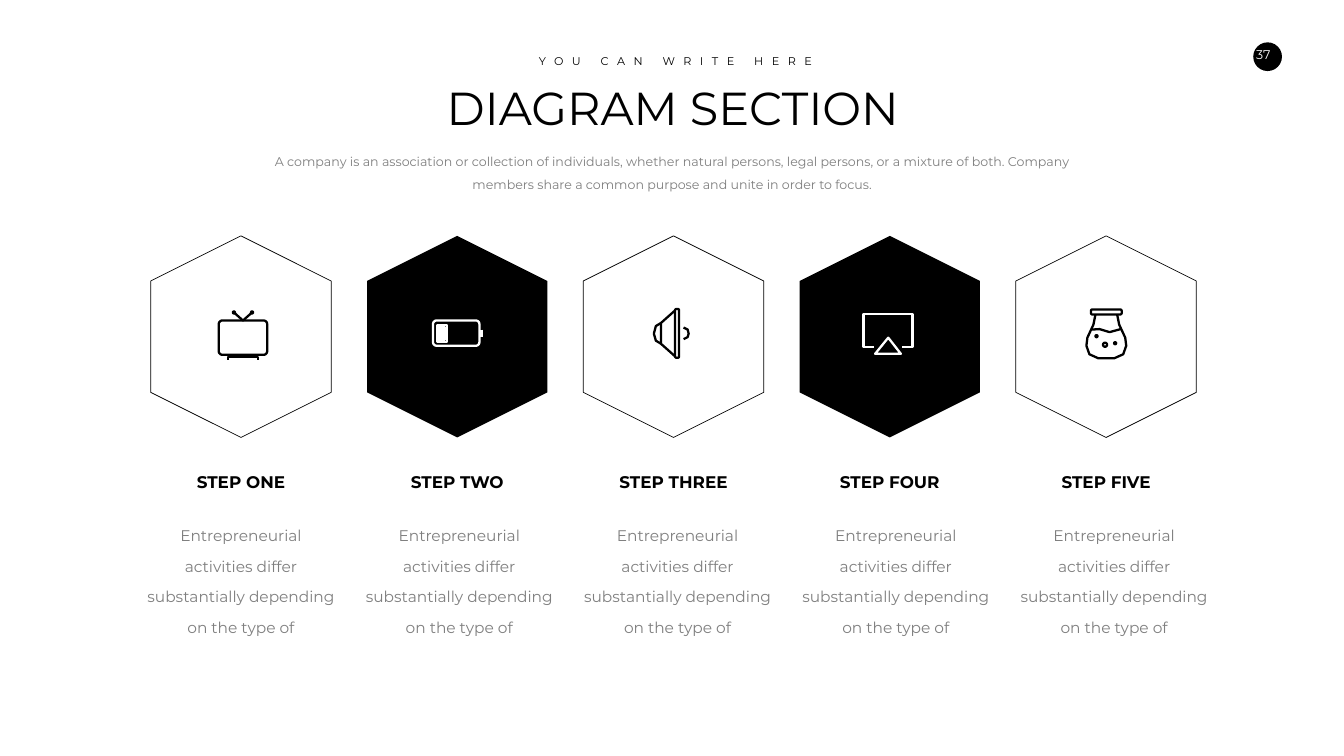
from math import cos, pi, sin

from pptx import Presentation
from pptx.dml.color import RGBColor
from pptx.enum.shapes import MSO_SHAPE
from pptx.enum.text import PP_ALIGN
from pptx.util import Inches, Pt

BLACK = RGBColor(0, 0, 0)
WHITE = RGBColor(255, 255, 255)
GREY = RGBColor(0x7F, 0x7F, 0x7F)
FONT = "Montserrat"
OVAL, HEXAGON = MSO_SHAPE.OVAL, MSO_SHAPE.HEXAGON
CENTER = PP_ALIGN.CENTER

BODY = "Entrepreneurial activities differ substantially depending on the type of"

# Icon strokes in 1/100 inch: a tuple is a rounded box (left, top, width,
# height, radius), a list is a run of points.
TV = [
    (2, 21, 96, 68, 7), (30, 3, 4, 4, 2), (66, 3, 4, 4, 2),
    [(32, 5), (50, 21), (68, 5)],
    [(20, 99), (20, 94), (80, 94), (80, 99)],
]
BATTERY = [(2, 2, 92, 50, 7), [(98, 20), (98, 35)]]
BATTERY += [(11 + d, 11 + d, 19 - 2 * d, 33 - 2 * d, 0) for d in (0, 4, 7)]
SPEAKER = [
    (44, 2, 8, 97, 3),
    [(44, 5), (16, 30), (16, 71), (44, 96)],
    [(16, 30), (6, 36), (2, 51), (6, 65), (16, 71)],
    [(61, 39), (69, 43), (71, 51), (69, 58), (61, 62)],
]
SCREEN = [
    [(51, 49), (76, 81), (25, 81), (51, 49)],
    [(23, 67), (2, 67), (2, 2), (99, 2), (99, 67), (78, 67)],
]
SIDE = [(20, 12), (16, 32), (4, 58), (2, 74), (8, 91), (26, 99)]
FLASK = [
    (11, 2, 61, 10, 3),
    SIDE + [(83 - x, y) for x, y in reversed(SIDE)],
    [(12, 42), (28, 41), (48, 47), (70, 41)],
    (35, 68, 8, 8, 4), (57, 67, 4, 4, 2), (20, 53, 4, 4, 2),
]

STEPS = [
    ("STEP ONE", TV, 4.32, 6.15),
    ("STEP TWO", BATTERY, 8.57, 6.34),
    ("STEP THREE", SPEAKER, 12.95, 6.11),
    ("STEP FOUR", SCREEN, 17.11, 6.21),
    ("STEP FIVE", FLASK, 21.53, 6.12),
]


def curve(left, top, width, height, r):
    """Return the points around a box with rounded corners."""
    points = []
    for turn in range(4):
        x = left + (width - r if turn in (0, 3) else r)
        y = top + (height - r if turn < 2 else r)
        for step in range(7):
            angle = (turn + step / 6) * pi / 2
            points.append((x + r * cos(angle), y + r * sin(angle)))
    return points + points[:1]


def write(text, left, top, width, height, size, color=BLACK, bold=False,
          leading=None, spread=None):
    """Add a centred text box; spread is letter spacing in 1/100 point."""
    box = slide.shapes.add_textbox(
        Inches(left), Inches(top), Inches(width), Inches(height))
    box.text_frame.word_wrap = True
    para = box.text_frame.paragraphs[0]
    para.alignment = CENTER
    if leading:
        para.line_spacing = leading
    run = para.add_run()
    run.text = text
    run.font.name = FONT
    run.font.size = Pt(size)
    run.font.bold = bold
    run.font.color.rgb = color
    if spread:
        run._r.get_or_add_rPr().set("spc", str(spread))


deck = Presentation()
deck.slide_width, deck.slide_height = Inches(26.66), Inches(15)
slide = deck.slides.add_slide(deck.slide_layouts[6])

# Page number
dot = slide.shapes.add_shape(
    OVAL, Inches(24.86), Inches(0.84), Inches(0.57), Inches(0.57))
dot.shadow.inherit = False
dot.fill.solid()
dot.fill.fore_color.rgb = BLACK
dot.line.fill.background()
write("37", 24.63, 0.89, 0.86, 0.5, 18, WHITE)

# Heading
write("YOU CAN WRITE HERE", 9.9, 1.02, 7, 0.37, 16, spread=1220)
write("DIAGRAM SECTION", 8.14, 1.52, 10.41, 1.21, 66)
write("A company is an association or collection of individuals, whether natural "
      "persons, legal persons, or a mixture of both. Company members share a common "
      "purpose and unite in order to focus.",
      5.32, 2.86, 16.03, 1.01, 18, GREY, leading=1.5)

# Steps
for i, (title, strokes, x, y) in enumerate(STEPS):
    dark = i % 2 == 1
    left = 2.78 + 4.29 * i
    tile = slide.shapes.add_shape(
        HEXAGON, Inches(left), Inches(4.89), Inches(4), Inches(3.58))
    tile.rotation = 270
    tile.shadow.inherit = False
    if dark:
        tile.fill.solid()
        tile.fill.fore_color.rgb = BLACK
        tile.line.fill.background()
    else:
        tile.fill.background()
        tile.line.color.rgb = BLACK
        tile.line.width = Pt(1)

    pen = None
    for stroke in strokes:
        points = curve(*stroke) if isinstance(stroke, tuple) else stroke
        points = [(px * 10, py * 10) for px, py in points]
        if pen is None:
            pen = slide.shapes.build_freeform(*points[0], scale=Inches(1) / 1000)
        else:
            pen.move_to(*points[0])
        pen.add_line_segments(points[1:], close=False)
    icon = pen.convert_to_shape(Inches(x), Inches(y))
    icon.shadow.inherit = False
    icon.fill.background()
    icon.line.color.rgb = WHITE if dark else BLACK
    icon.line.width = Pt(3.25)

    write(title, left + 0.5, 9.32, 3, 0.5, 24, bold=True)
    write(BODY, 2.78 + 4.33 * i, 10.14, 4, 2.7, 22, GREY, leading=1.67)

deck.save("out.pptx")
